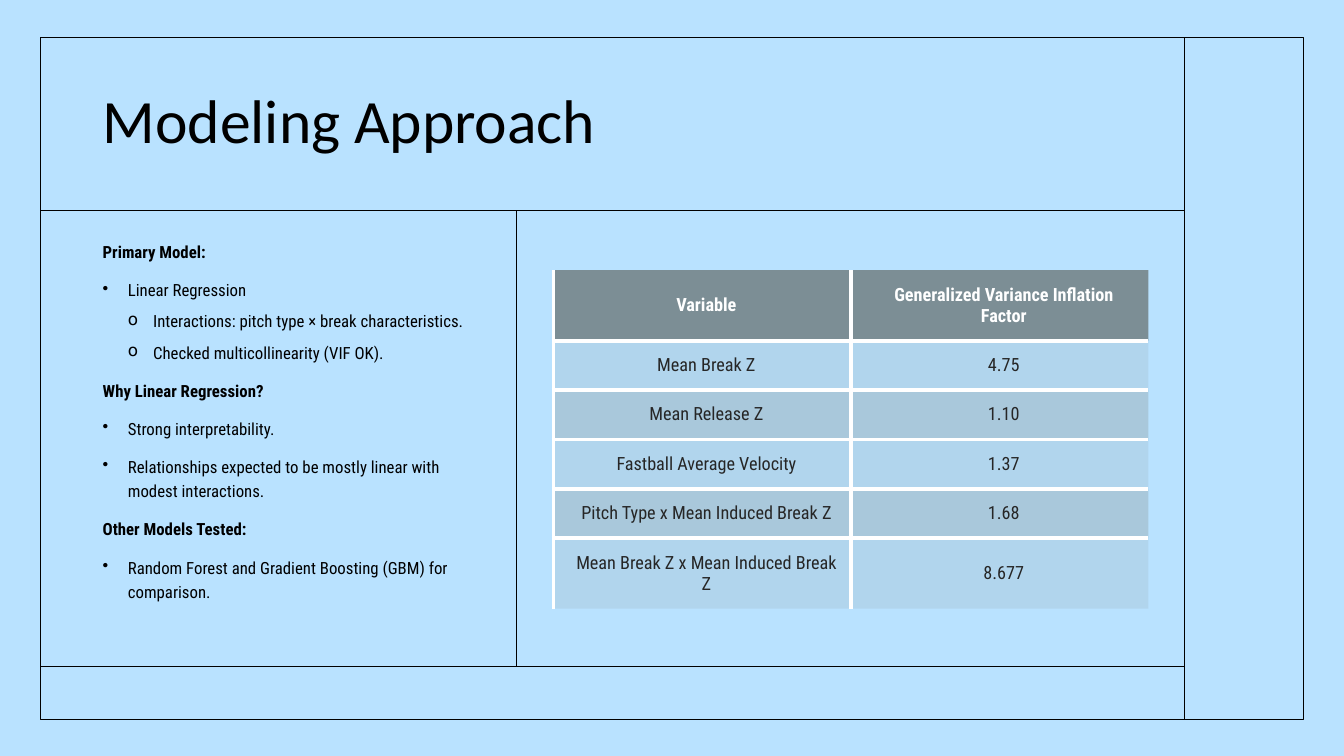
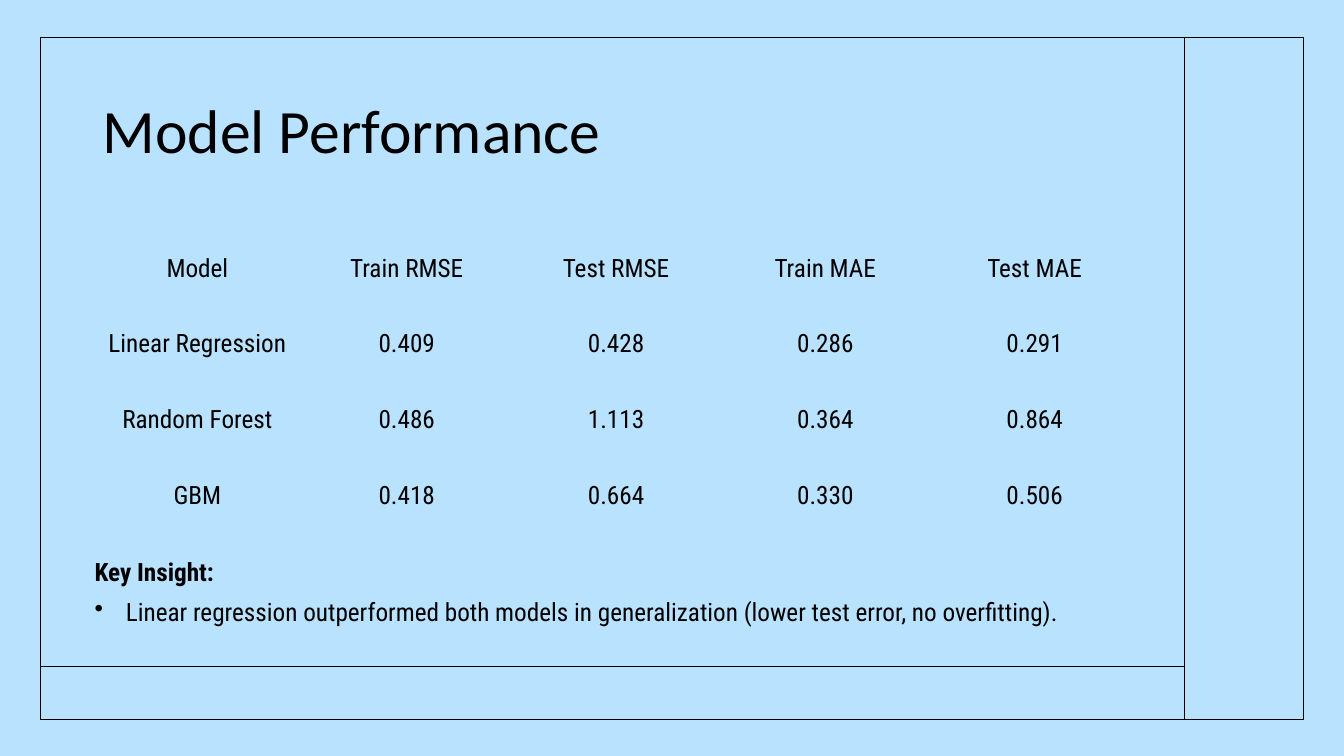
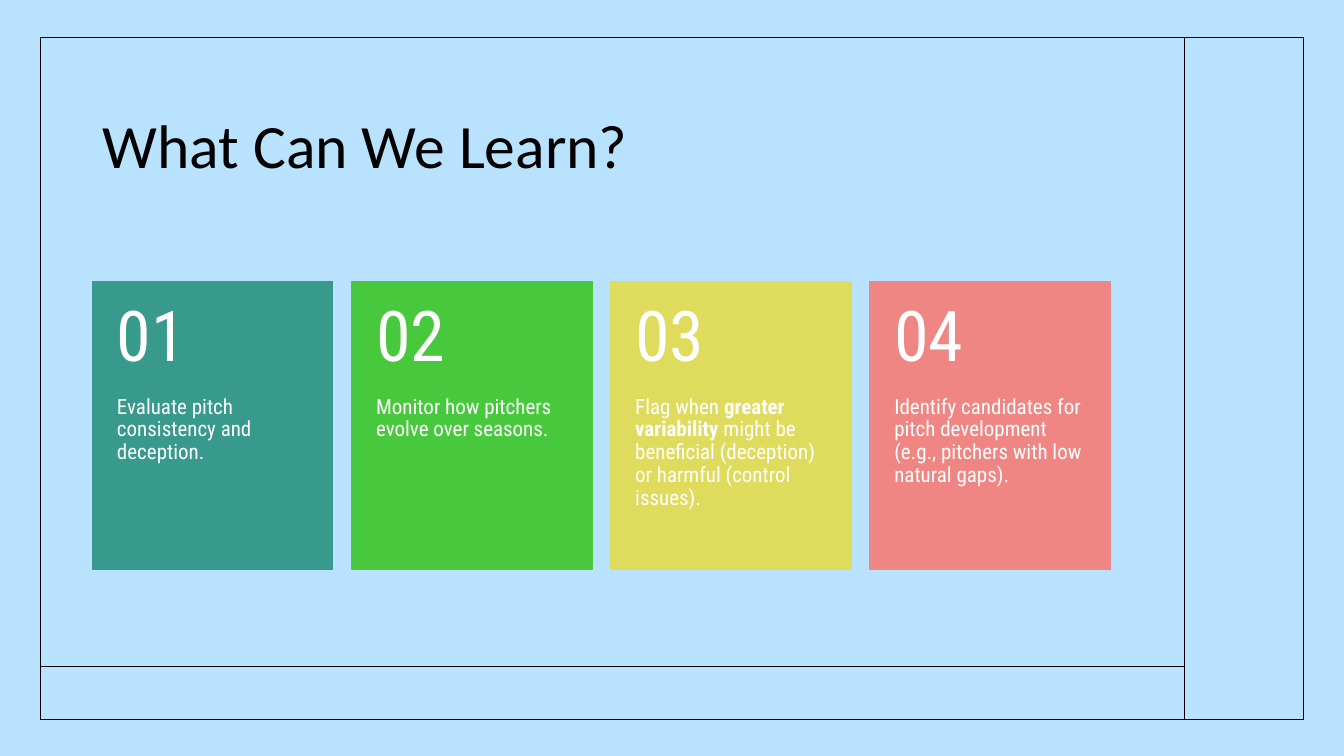
from lxml.etree import SubElement
from pptx import Presentation
from pptx.dml.color import RGBColor
from pptx.enum.shapes import MSO_CONNECTOR, MSO_SHAPE
from pptx.enum.text import MSO_ANCHOR, PP_ALIGN
from pptx.oxml.ns import qn
from pptx.util import Pt

SCALE = 9144
SKY, BLACK, WHITE, INK = "B9E2FF", "000000", "FFFFFF", "262626"
HEAD, BAND = "636B68", "878E8B"
HEADING, BODY = "Calibri", "Roboto Condensed"
PLAIN = "{2D5ABB26-0587-4C30-8999-92F81FD0307C}"
FRAME = (40, 37, 1253, 677)
RAIL, FOOT = 1175, 661


def px(n):
    return round(n * SCALE)


def rgb(code):
    return RGBColor.from_string(code)


def write(para, text, size, color=BLACK, bold=False, font=BODY):
    run = para.add_run()
    run.text = text
    run.font.name = font
    run.font.size = Pt(size)
    run.font.bold = bold
    run.font.color.rgb = rgb(color)


def bullet(para, mark, left, hang):
    props = para._p.get_or_add_pPr()
    props.set("marL", str(px(left)))
    props.set("indent", str(-px(hang)))
    SubElement(props, qn("a:buChar")).set("char", mark)


def inset(item, left, top, right, bottom):
    item.margin_left, item.margin_top = px(left), px(top)
    item.margin_right, item.margin_bottom = px(right), px(bottom)


def text_box(shapes, box, pads=(10, 5, 10, 5), anchor=MSO_ANCHOR.TOP):
    frame = shapes.add_textbox(*map(px, box)).text_frame
    frame.word_wrap = True
    frame.vertical_anchor = anchor
    inset(frame, *pads)
    return frame


def block(shapes, box, fill=None, line=None):
    shape = shapes.add_shape(MSO_SHAPE.RECTANGLE, *map(px, box))
    shape.shadow.inherit = False
    if fill:
        shape.fill.solid()
        shape.fill.fore_color.rgb = rgb(fill)
    else:
        shape.fill.background()
    if line:
        shape.line.color.rgb = rgb(line)
        shape.line.width = Pt(1)
    else:
        shape.line.fill.background()
    return shape


def rule(slide, *ends):
    line = slide.shapes.add_connector(MSO_CONNECTOR.STRAIGHT, *map(px, ends))
    line.line.color.rgb = rgb(BLACK)
    line.line.width = Pt(1)
    SubElement(line._element.spPr, qn("a:effectLst"))


def base(deck, title, box):
    slide = deck.slides.add_slide(deck.slide_layouts[6])
    slide.background.fill.solid()
    slide.background.fill.fore_color.rgb = rgb(SKY)
    left, top, _, high = FRAME
    block(slide.shapes, FRAME, line=BLACK)
    rule(slide, left, FOOT, RAIL, FOOT)
    rule(slide, RAIL, top, RAIL, top + high)
    para = text_box(slide.shapes, box, anchor=MSO_ANCHOR.MIDDLE).paragraphs[0]
    para.line_spacing = 0.9
    write(para, title, 44, font=HEADING)
    return slide


def grid(slide, box, rows, highs, style):
    count = len(rows[0])
    table = slide.shapes.add_table(len(rows), count, *map(px, box)).table
    table.first_row = table.horz_banding = False
    table._tbl.tblPr.find(qn("a:tableStyleId")).text = PLAIN
    for col in table.columns:
        col.width = px(box[2] / count)
    for r, row in enumerate(rows):
        table.rows[r].height = px(highs[r])
        for c, text in enumerate(row):
            cell = table.cell(r, c)
            cell.vertical_anchor = MSO_ANCHOR.MIDDLE
            para = cell.text_frame.paragraphs[0]
            para.alignment = PP_ALIGN.CENTER
            style(cell, para, text, r, c, len(rows))


def plain_cell(cell, para, text, r, c, count):
    cell.fill.background()
    write(para, text, 18)


def edge(cell, sides):
    props = cell._tc.get_or_add_tcPr()
    for spot, side in enumerate(sides):
        line = SubElement(props, qn("a:ln" + side))
        line.set("w", str(Pt(3)))
        SubElement(SubElement(line, qn("a:solidFill")), qn("a:srgbClr")).set("val", WHITE)
        props.insert(spot, line)


def band_cell(cell, para, text, r, c, count):
    top = r == 0
    inset(cell, 20, 12, 12, 12)
    write(para, text, 13, WHITE if top else INK, top)
    cell.fill.solid()
    cell.fill.fore_color.rgb = rgb(HEAD if top else BAND)
    alpha = 70 if top else 15 if r % 2 else 30
    tint = cell._tc.tcPr.find(".//" + qn("a:srgbClr"))
    SubElement(tint, qn("a:alpha")).set("val", str(alpha * 1000))
    shown = {"L": True, "R": c == 0, "T": r > 0, "B": r < count - 1}
    edge(cell, [side for side in shown if shown[side]])


def outline(slide, box, items):
    frame = text_box(slide.shapes, box)
    for i, (level, text) in enumerate(items):
        para = frame.add_paragraph() if i else frame.paragraphs[0]
        para.line_spacing = 1.2
        para.space_before = Pt(5 if level == 2 else 10)
        if level:
            para.level = level - 1
            bullet(para, "•o"[level - 1], 25 * level, 25)
        write(para, text, 12, bold=level == 0)


def insight(slide, box, label, text):
    shape = block(slide.shapes, box, fill=SKY)
    frame = shape.text_frame
    frame.word_wrap = True
    frame.vertical_anchor = MSO_ANCHOR.TOP
    head, point = frame.paragraphs[0], frame.add_paragraph()
    head.alignment = point.alignment = PP_ALIGN.LEFT
    write(head, label, 18, bold=True)
    point.space_before = Pt(7)
    bullet(point, "•", 31, 31)
    write(point, text, 18)


def card(shapes, box, color, num, parts):
    x, y, wide, high = box
    split = 114
    block(shapes, box, color, color)
    note = text_box(shapes, (x, y + split, wide, high - split), (24, 0, 24, 36))
    mark = text_box(shapes, (x, y, wide, split), (24, 18, 24, 18), MSO_ANCHOR.MIDDLE)
    for frame in (note, mark):
        frame.paragraphs[0].line_spacing = 0.9
    for text, bold in parts:
        write(note.paragraphs[0], text, 15, WHITE, bold)
    write(mark.paragraphs[0], f"{num:02}", 50, WHITE)


def method(deck):
    slide = base(deck, "Modeling Approach", (92, 60, 1018, 126))
    rule(slide, FRAME[0], 209, RAIL, 209)
    rule(slide, 512, 209, 512, FOOT)
    outline(slide, (92, 231, 381, 439), [
        (0, "Primary Model:"),
        (1, "Linear Regression"),
        (2, "Interactions: pitch type × break characteristics."),
        (2, "Checked multicollinearity (VIF OK)."),
        (0, "Why Linear Regression?"),
        (1, "Strong interpretability."),
        (1, "Relationships expected to be mostly linear with modest interactions."),
        (0, "Other Models Tested:"),
        (1, "Random Forest and Gradient Boosting (GBM) for comparison."),
    ])
    grid(slide, (549, 268, 590, 336), [
        ("Variable", "Generalized Variance Inflation Factor"),
        ("Mean Break Z", "4.75"),
        ("Mean Release Z", "1.10"),
        ("Fastball Average Velocity", "1.37"),
        ("Pitch Type x Mean Induced Break Z", "1.68"),
        ("Mean Break Z x Mean Induced Break Z", "8.677"),
    ], [70] + [49] * 4 + [70], band_cell)


def results(deck):
    slide = base(deck, "Model Performance", (92, 60, 1038, 145))
    grid(slide, (92, 229, 1038, 300), [
        ("Model", "Train RMSE", "Test RMSE", "Train MAE", "Test MAE"),
        ("Linear Regression", "0.409", "0.428", "0.286", "0.291"),
        ("Random Forest", "0.486", "1.113", "0.364", "0.864"),
        ("GBM", "0.418", "0.664", "0.330", "0.506"),
    ], [75] * 4, plain_cell)
    insight(slide, (84, 547, 1054, 111), "Key Insight:",
            "Linear regression outperformed both models in generalization "
            "(lower test error, no overfitting).")


def lessons(deck):
    slide = base(deck, "What Can We Learn?", (92, 89, 1009, 117))
    group = slide.shapes.add_group_shape()
    cards = [
        ("38998D", [("Evaluate pitch consistency and deception.", False)]),
        ("48C93D", [("Monitor how pitchers evolve over seasons.", False)]),
        ("DFDC5D", [("Flag when ", False), ("greater variability", True),
                    (" might be beneficial (deception) or harmful (control issues).", False)]),
        ("EF8683", [("Identify candidates for pitch development "
                     "(e.g., pitchers with low natural gaps).", False)]),
    ]
    for i, (color, parts) in enumerate(cards):
        card(group.shapes, (92 + 257 * i, 279, 238, 286), color, i + 1, parts)


def main():
    deck = Presentation()
    deck.slide_width, deck.slide_height = px(1333), px(750)
    for build in (method, results, lessons):
        build(deck)
    deck.save("out.pptx")


if __name__ == "__main__":
    main()
